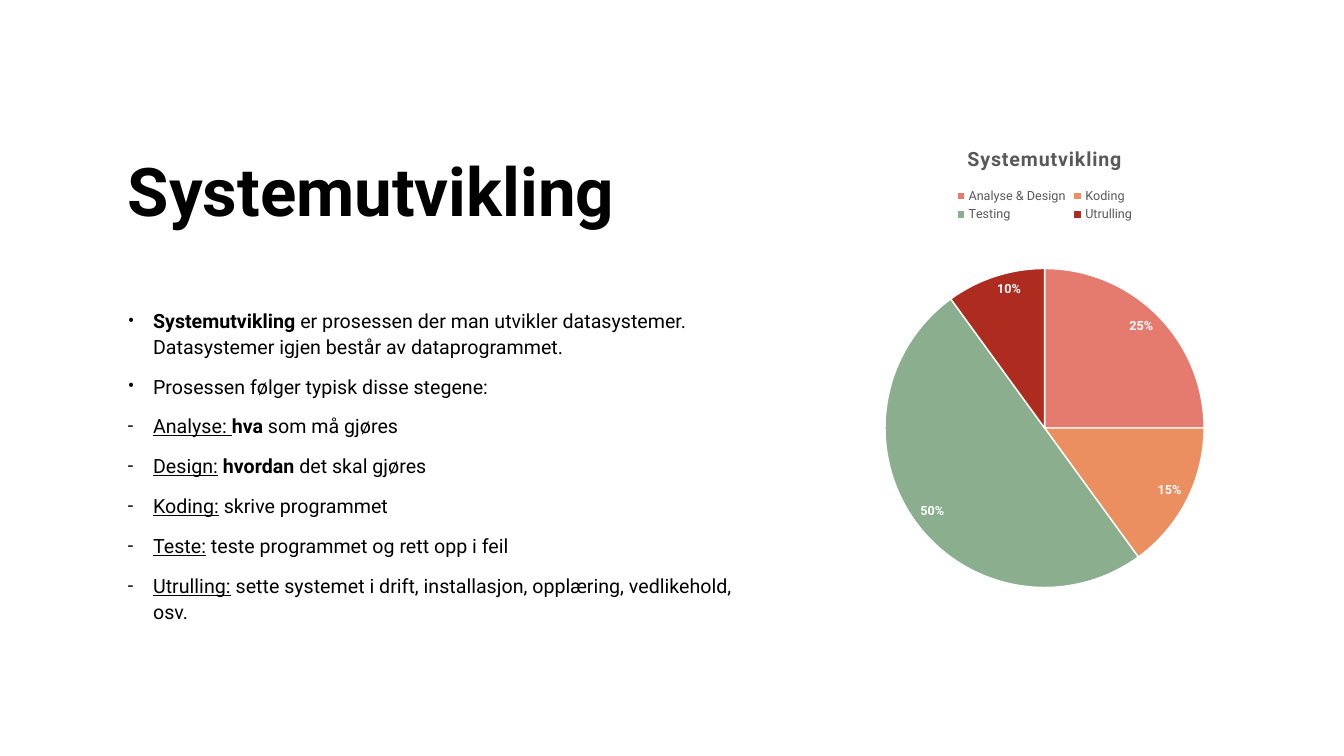
from lxml import etree
from pptx import Presentation
from pptx.chart.data import CategoryChartData
from pptx.dml.color import RGBColor
from pptx.enum.chart import XL_CHART_TYPE, XL_LABEL_POSITION, XL_LEGEND_POSITION
from pptx.enum.text import MSO_ANCHOR
from pptx.oxml.ns import qn
from pptx.util import Inches, Pt

PIE = XL_CHART_TYPE.PIE
INSIDE_END = XL_LABEL_POSITION.INSIDE_END
LEGEND_TOP = XL_LEGEND_POSITION.TOP
MIDDLE = MSO_ANCHOR.MIDDLE

FONT = "Roboto"
COLORS = {
    "text": "000000",
    "muted": "595959",
    "white": "FFFFFF",
    "Analyse & Design": "E57A6F",
    "Koding": "EB8F60",
    "Testing": "8AAE8E",
    "Utrulling": "AD2C1F",
}
SHARES = {"Analyse & Design": 25, "Koding": 15, "Testing": 50, "Utrulling": 10}
HEADING = "Systemutvikling"
POINTS = [
    ("•", [(HEADING, "bold"),
           (" er prosessen der man utvikler datasystemer. "
            "Datasystemer igjen består av dataprogrammet.", "")]),
    ("•", [("Prosessen følger typisk disse stegene:", "")]),
    ("-", [("Analyse: ", "underline"), ("hva", "bold"), (" som må gjøres", "")]),
    ("-", [("Design:", "underline"), (" ", ""), ("hvordan", "bold"), (" det skal gjøres", "")]),
    ("-", [("Koding:", "underline"), (" skrive programmet", "")]),
    ("-", [("Teste:", "underline"), (" teste programmet og rett opp i feil", "")]),
    ("-", [("Utrulling:", "underline"),
           (" sette systemet i drift, installasjon, opplæring, vedlikehold, osv.", "")]),
]


def style_font(font, size, color, bold=False):
    font.name = FONT
    font.size = Pt(size)
    font.bold = bold
    font.color.rgb = RGBColor.from_string(COLORS[color])


def add_text_frame(top, height):
    box = slide.shapes.add_textbox(text_left, top, text_width, height)
    box.text_frame.word_wrap = True
    return box.text_frame


presentation = Presentation()
presentation.slide_width = Inches(13.33)
presentation.slide_height = Inches(7.5)
slide = presentation.slides.add_slide(presentation.slide_layouts[6])

margin_top = presentation.slide_height // 6
text_left, text_width = Inches(1.17), Inches(6.31)

title_frame = add_text_frame(margin_top, Inches(1.37))
title_frame.vertical_anchor = MIDDLE
title_frame.text = HEADING
title = title_frame.paragraphs[0]
title.line_spacing = 0.9
style_font(title.runs[0].font, 48, "text", True)

body_frame = add_text_frame(Inches(2.99), Inches(3.26))
for index, (bullet, pieces) in enumerate(POINTS):
    paragraph = body_frame.add_paragraph() if index else body_frame.paragraphs[0]
    paragraph.line_spacing = 1.1
    paragraph.space_before = Pt(10)
    properties = paragraph._p.get_or_add_pPr()
    properties.set("marL", str(Inches(0.25)))
    properties.set("indent", str(-Inches(0.25)))
    etree.SubElement(properties, qn("a:buFont")).set("typeface", FONT)
    etree.SubElement(properties, qn("a:buChar")).set("char", bullet)
    for text, emphasis in pieces:
        run = paragraph.add_run()
        run.text = text
        style_font(run.font, 14, "text", emphasis == "bold")
        run.font.underline = emphasis == "underline"

chart_data = CategoryChartData(number_format="General")
chart_data.categories = list(SHARES)
chart_data.add_series("Series 1", list(SHARES.values()))
chart = slide.shapes.add_chart(
    PIE, Inches(8.64), margin_top, Inches(3.44), margin_top * 4, chart_data
).chart
style_font(chart.font, 10, "text")

chart.has_title = True
chart.chart_title.include_in_layout = False
chart.chart_title.text_frame.text = HEADING
chart_heading = chart.chart_title.text_frame.paragraphs[0].runs[0]
style_font(chart_heading.font, 14, "muted", True)
chart_heading.font._element.set("spc", "50")

chart.has_legend = True
chart.legend.position = LEGEND_TOP
chart.legend.include_in_layout = False
style_font(chart.legend.font, 9, "muted")

plot = chart.plots[0]
plot.vary_by_categories = True
series = plot.series[0]
for index, category in enumerate(SHARES):
    slice_format = series.points[index].format
    slice_format.fill.solid()
    slice_format.fill.fore_color.rgb = RGBColor.from_string(COLORS[category])
    slice_format.line.color.rgb = RGBColor.from_string(COLORS["white"])
    slice_format.line.width = Pt(1)

labels = series.data_labels
labels.show_percentage = True
labels.show_value = False
labels.number_format = "0%"
labels.number_format_is_linked = False
labels.position = INSIDE_END
style_font(labels.font, 9, "white", True)

presentation.save("out.pptx")
